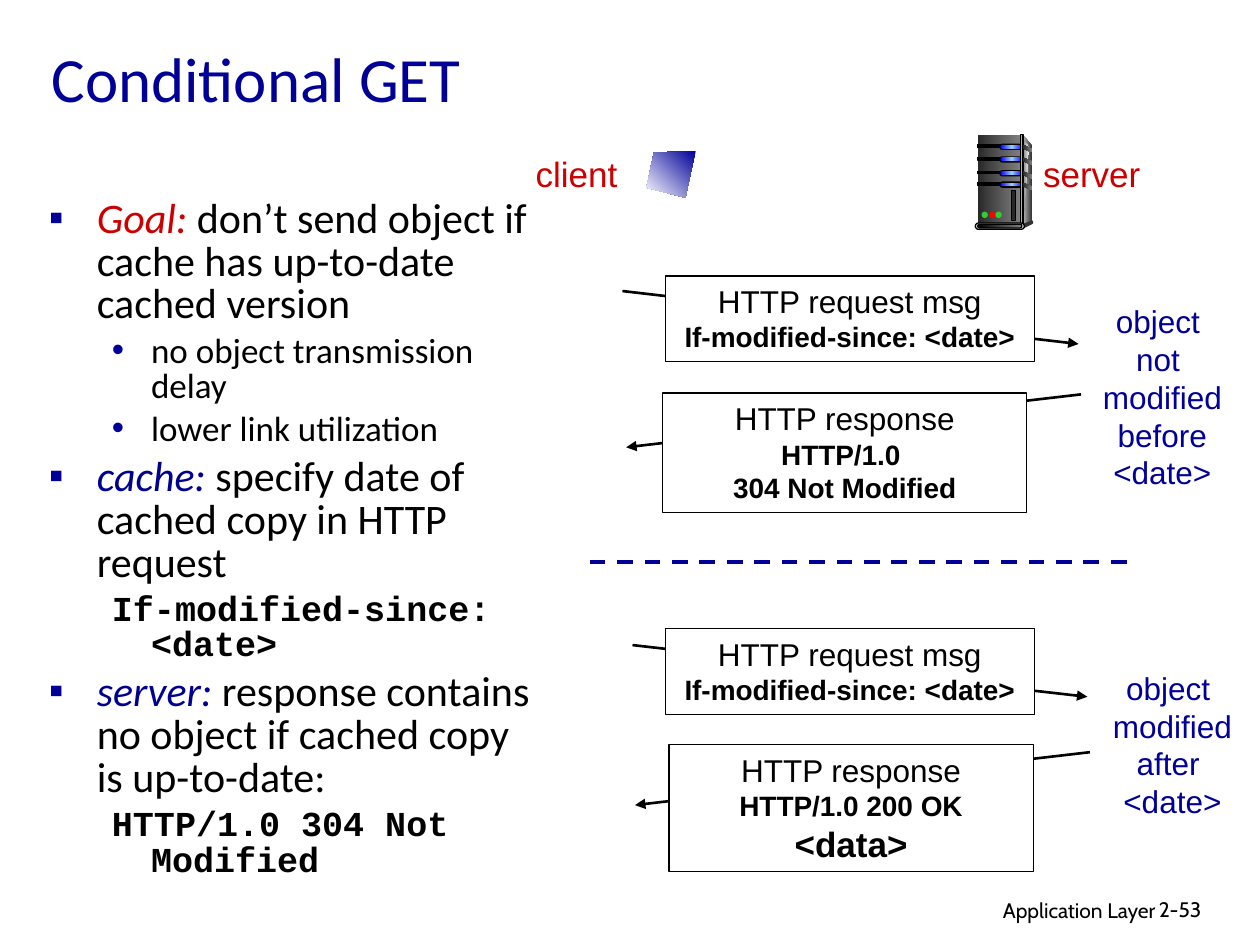
"""Builds the Conditional GET slide with its client and server message diagram."""
import lxml.etree
import pptx
import pptx.dml.color
import pptx.enum.dml
import pptx.enum.shapes
import pptx.enum.text
import pptx.oxml.ns
import pptx.util

Inches = pptx.util.Inches
Pt = pptx.util.Pt
qn = pptx.oxml.ns.qn
Align = pptx.enum.text.PP_ALIGN
Shape = pptx.enum.shapes.MSO_SHAPE

BLUE, DEEP_BLUE, RED, BLACK, WHITE = "000099", "000090", "CC0000", "000000", "FFFFFF"
DARK_TO_GREY = ("292929", "808080")
LIGHT_TO_DARK = ("DDDDDD", "333333")


def rgb(value):
    return pptx.dml.color.RGBColor.from_string(value)


def add_run(paragraph, text, size=18, font="Arial", color=BLACK, bold=False, italic=False):
    run = paragraph.add_run()
    run.text = text
    run.font.size = Pt(size)
    run.font.name = font
    run.font.color.rgb = rgb(color)
    run.font.bold = bold
    run.font.italic = italic


def add_child(parent, tag, **attributes):
    return lxml.etree.SubElement(parent, qn(tag), **attributes)


class SlideBuilder:
    def __init__(self, slide):
        self.slide = slide
        self.shapes = slide.shapes

    def paint(self, shape, fill, line=None, angle=0):
        shape.shadow.inherit = False
        if isinstance(fill, str):
            shape.fill.solid()
            shape.fill.fore_color.rgb = rgb(fill)
        else:
            shape.fill.gradient()
            shape.fill.gradient_angle = angle
            stops = shape._element.spPr.find(".//" + qn("a:gsLst"))
            stops.clear()
            for index, color in enumerate(fill):
                position = 100000 * index // (len(fill) - 1)
                stop = add_child(stops, "a:gs", pos=str(position))
                add_child(stop, "a:srgbClr", val=color)
        if line:
            shape.line.color.rgb = rgb(line)
            shape.line.width = Pt(0.75)
        else:
            shape.line.fill.background()
        return shape

    def block(self, left, top, width, height, fill, kind=Shape.RECTANGLE, line=None):
        shape = self.shapes.add_shape(
            kind, Inches(left), Inches(top), Inches(width), Inches(height))
        if kind == Shape.ROUNDED_RECTANGLE:
            shape.adjustments[0] = 0.5
        return self.paint(shape, fill, line)

    def polygon(self, points, fill, angle=0):
        corners = [(Inches(x), Inches(y)) for x, y in points]
        builder = self.shapes.build_freeform(*corners[0], scale=1.0)
        builder.add_line_segments(corners[1:], close=True)
        return self.paint(builder.convert_to_shape(), fill, angle=angle)

    def write_lines(self, frame, lines, align, **style):
        for index, line in enumerate(lines):
            paragraph = frame.add_paragraph() if index else frame.paragraphs[0]
            paragraph.alignment = align
            text, extra = line if isinstance(line, tuple) else (line, {})
            add_run(paragraph, text, **{**style, **extra})

    def text(self, left, top, width, height, lines, align=Align.LEFT, wrap=True, **style):
        box = self.shapes.add_textbox(
            Inches(left), Inches(top), Inches(width), Inches(height))
        box.text_frame.word_wrap = wrap
        self.write_lines(box.text_frame, lines, align, **style)
        return box

    def message(self, left, top, width, height, lines):
        shape = self.block(left, top, width, height, WHITE, line=BLACK)
        shape.text_frame.word_wrap = True
        shape.text_frame.vertical_anchor = pptx.enum.text.MSO_ANCHOR.TOP
        self.write_lines(shape.text_frame, lines, Align.CENTER)

    def line(self, start, end, color=BLACK, width=1.5, arrow=False, dashed=False):
        connector = self.shapes.add_connector(
            pptx.enum.shapes.MSO_CONNECTOR.STRAIGHT, *map(Inches, start + end))
        connector.line.color.rgb = rgb(color)
        connector.line.width = Pt(width)
        if dashed:
            connector.line.dash_style = pptx.enum.dml.MSO_LINE.DASH
        if arrow:
            add_child(connector.line._get_or_add_ln(), "a:tailEnd", type="triangle")
        add_child(connector._element.spPr, "a:effectLst")

    def outline(self, left, top, width, height, items):
        box = self.shapes.add_textbox(
            Inches(left), Inches(top), Inches(width), Inches(height))
        frame = box.text_frame
        frame.word_wrap = True
        for index, (level, bullet, runs) in enumerate(items):
            paragraph = frame.add_paragraph() if index else frame.paragraphs[0]
            paragraph.level = level
            paragraph.line_spacing = 0.85
            paragraph.space_before = Pt((4.8, 4)[level] if index else 0)
            margin, hanging = ((0.38, 0.38), (0.81, 0.31))[level]
            properties = paragraph._p.get_or_add_pPr()
            properties.set("marL", str(Inches(margin)))
            properties.set("indent", str(-Inches(hanging)))
            if bullet:
                color = add_child(properties, "a:buClr")
                add_child(color, "a:srgbClr", val=BLUE)
                add_child(properties, "a:buFont", typeface="Arial")
                add_child(properties, "a:buChar", char=bullet)
            else:
                add_child(properties, "a:buNone")
            for text, style in runs:
                add_run(paragraph, text, **{"size": (24, 20)[level], "font": "Calibri", **style})

    def server(self):
        self.shapes = self.slide.shapes.add_group_shape().shapes
        rounded = Shape.ROUNDED_RECTANGLE
        self.polygon([(8.12, 1.07), (8.19, 1.16), (8.19, 1.76), (8.1, 1.79)], LIGHT_TO_DARK)
        self.block(7.76, 1.07, 0.34, 0.72, DARK_TO_GREY)
        self.polygon([(8.12, 1.11), (8.17, 1.17), (8.14, 1.5), (8.12, 1.77)],
                     ("808080", "F8F8F8"))
        slots = (1.15, 1.25, 1.36, 1.45)
        for top in slots:
            self.block(7.76, top, 0.19, 0.02, BLACK, line=BLACK)
            self.block(7.93, top - 0.01, 0.19, 0.05, BLACK, rounded)
            self.block(7.94, top, 0.18, 0.03, ("0000FF", "99CCFF", "0000FF"), rounded)
        self.block(8.1, 1.07, 0.02, 0.72, ("333333", "DDDDDD", "333333"), line=BLACK)
        for top in slots:
            self.polygon([(8.12, top), (8.19, top + 0.03), (8.19, top + 0.06),
                          (8.12, top + 0.03)], DARK_TO_GREY)
        self.block(8.18, 1.75, 0.02, 0.03, "333333", Shape.OVAL)
        self.polygon([(8.11, 1.78), (8.11, 1.82), (8.19, 1.78), (8.19, 1.75)], "333333")
        self.block(7.74, 1.77, 0.39, 0.05, "DDDDDD", rounded, BLACK)
        self.block(7.76, 1.78, 0.35, 0.03, (BLACK, "808080"), rounded, BLACK)
        for left, color in ((7.79, "33CC33"), (7.85, "FF0000"), (7.9, "33CC33")):
            self.block(left, 1.68, 0.05, 0.05, color, Shape.OVAL)
        self.block(8.03, 1.51, 0.03, 0.24, "292929", line=BLACK)
        self.shapes = self.slide.shapes


def main():
    presentation = pptx.Presentation()
    presentation.slide_width, presentation.slide_height = Inches(10), Inches(7.5)
    builder = SlideBuilder(presentation.slides.add_slide(presentation.slide_layouts[6]))

    builder.text(6.1, 7.07, 3.17, 0.31, ["Application Layer"], Align.RIGHT, size=12, font="Cabin")
    builder.text(9.1, 7.07, 0.74, 0.3, ["2-53"], size=12, font="Cabin")
    title = builder.text(0.31, 0.21, 8.71, 0.81, ["Conditional GET"],
                         size=36, font="Calibri", color=BLUE)
    title.text_frame.vertical_anchor = pptx.enum.text.MSO_ANCHOR.MIDDLE

    code = {"font": "Courier New", "bold": True}
    goal = {"color": RED, "italic": True}
    role = {"color": DEEP_BLUE, "italic": True}
    builder.outline(0.29, 1.53, 4.09, 5.61, [
        (0, "▪", [("Goal:", goal),
                  (" don’t send object if cache has up-to-date cached version", {})]),
        (1, "•", [("no object transmission delay", {})]),
        (1, "•", [("lower link utilization", {})]),
        (0, "▪", [("cache: ", role), ("specify date of cached copy in HTTP request", {})]),
        (1, None, [("If-modified-since: <date>", code)]),
        (0, "▪", [("server: ", role),
                  ("response contains no object if cached copy is up-to-date:", {})]),
        (1, None, [("HTTP/1.0 304 Not Modified", code)]),
    ])

    strong = {"size": 16, "bold": True}
    request = ["HTTP request msg", ("If-modified-since: <date>", strong)]
    unchanged = ["HTTP response", ("HTTP/1.0 ", strong), ("304 Not Modified", strong)]
    changed = ["HTTP response", ("HTTP/1.0 200 OK", strong), ("<data>", {"size": 20, "bold": True})]
    for start, end, box, lines in (
        ((4.94, 2.31), (8.56, 2.73), (5.28, 2.19, 2.93, 0.68), request),
        ((8.58, 3.13), (4.97, 3.55), (5.26, 3.12, 2.89, 0.95), unchanged),
        ((5.02, 5.12), (8.63, 5.53), (5.28, 4.99, 2.93, 0.68), request),
        ((8.65, 5.97), (5.04, 6.39), (5.31, 5.91, 2.89, 1.01), changed),
    ):
        builder.line(start, end, arrow=True)
        builder.message(*box, lines)
    builder.line((4.68, 4.46), (8.95, 4.46), BLUE, 2.25, dashed=True)

    for box, lines, style in (
        ((8.65, 2.35, 1.15, 1.6), ["object ", "not ", "modified", "before", "<date>"],
         {"color": BLUE}),
        ((8.73, 5.26, 1.15, 1.3), ["object ", "modified", "after ", "<date>"], {"color": BLUE}),
        ((4.15, 1.16, 0.85, 0.43), ["client"], {"size": 20, "color": RED}),
        ((8.18, 1.16, 0.97, 0.43), ["server"], {"size": 20, "color": RED}),
    ):
        builder.text(*box, lines, Align.CENTER, wrap=False, **style)

    builder.server()
    builder.polygon([(5.52, 1.2), (5.19, 1.21), (5.13, 1.49), (5.44, 1.57)],
                    (BLUE, WHITE), angle=225)
    presentation.save("out.pptx")


if __name__ == "__main__":
    main()
